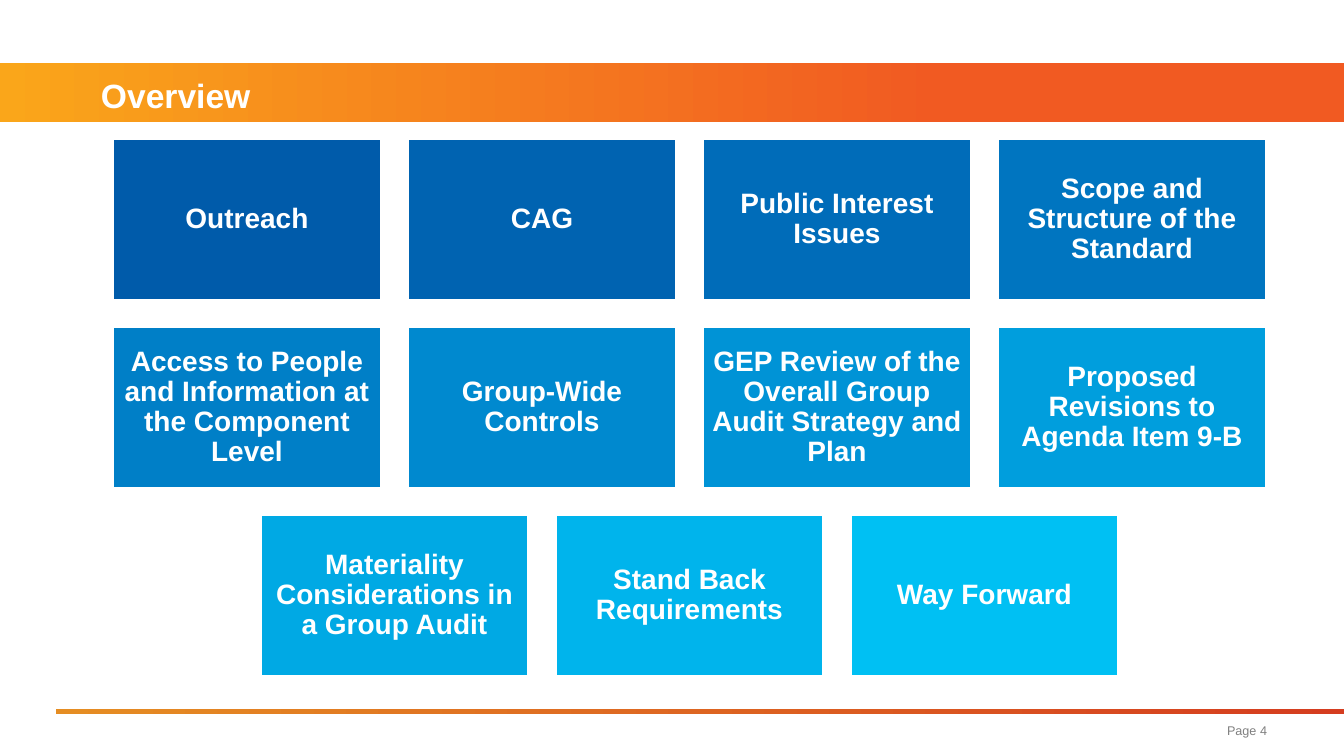
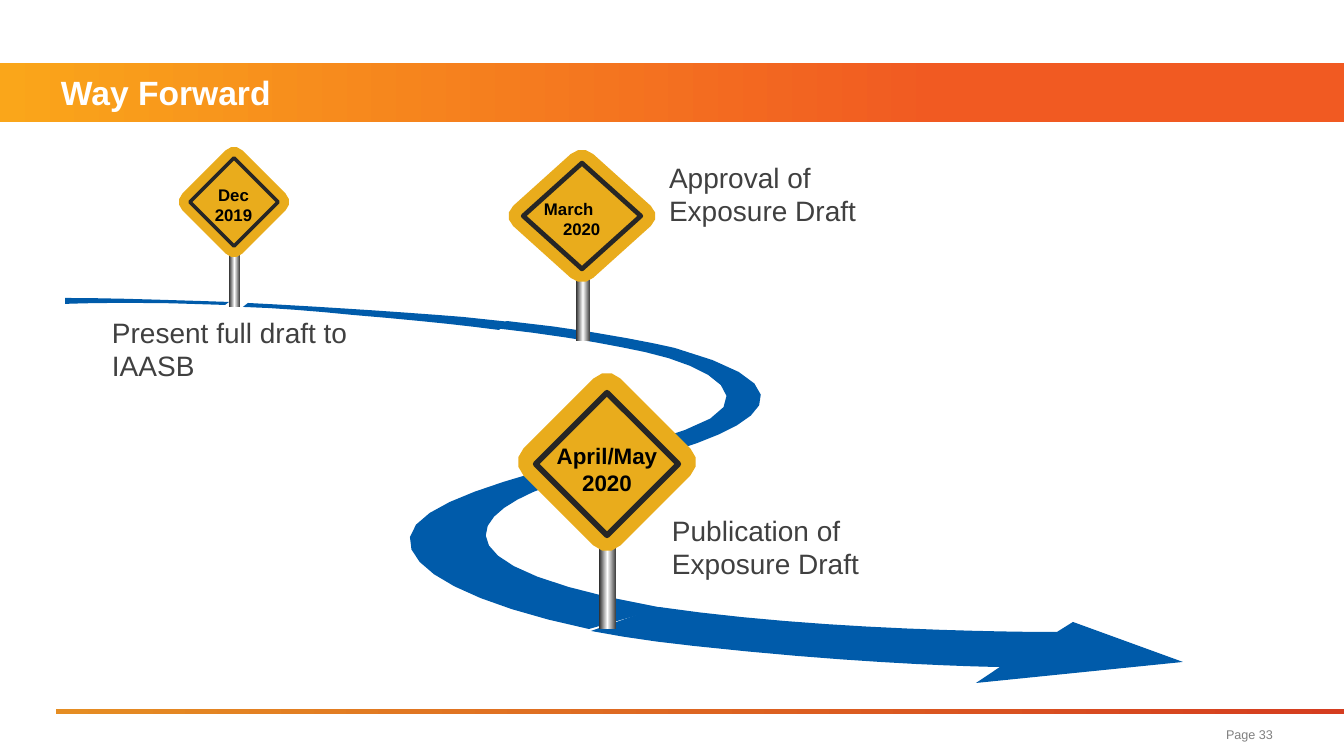
import itertools
import math

import lxml.etree
import pptx
import pptx.dml.color
import pptx.enum.shapes
import pptx.enum.text
import pptx.oxml.ns
import pptx.util

RGB = pptx.dml.color.RGBColor
ALIGN = pptx.enum.text.PP_ALIGN
ANCHOR = pptx.enum.text.MSO_ANCHOR
PRESET = pptx.enum.shapes.MSO_SHAPE

EMU_PER_PX = 914400 / 100.8
SLIDE_WIDTH, SLIDE_HEIGHT = 1344, 756
FONT = "Arial"

WHITE = RGB(0xFF, 0xFF, 0xFF)
BLACK = RGB(0x00, 0x00, 0x00)
BODY_GREY = RGB(0x40, 0x40, 0x40)
PAGE_GREY = RGB(0x80, 0x80, 0x80)
ROAD_BLUE = RGB(0x00, 0x5B, 0xAA)
SIGN_YELLOW = RGB(0xE9, 0xAC, 0x1C)
SIGN_DARK = RGB(0x26, 0x26, 0x26)

BAND_STOPS = [(0, RGB(0xFA, 0xA6, 0x1A)), (70, RGB(0xF1, 0x5A, 0x22))]
RULE_STOPS = [(0, RGB(0xE5, 0x8D, 0x23)), (100, RGB(0xD5, 0x3D, 0x20))]
POST_STOPS = [(0, SIGN_DARK), (50, WHITE), (100, BODY_GREY)]

COLUMNS = 4
TILE_LEFT, TILE_TOP = 113, 139
TILE_WIDTH, TILE_HEIGHT = 268, 161
TILE_STEP_X, TILE_STEP_Y = 295, 188
TILES = [
    ("Outreach", RGB(0x00, 0x5B, 0xAA)),
    ("CAG", RGB(0x00, 0x63, 0xB1)),
    ("Public Interest Issues", RGB(0x00, 0x6C, 0xB9)),
    ("Scope and Structure of the Standard", RGB(0x00, 0x75, 0xC0)),
    ("Access to People and Information at the Component Level", RGB(0x00, 0x7F, 0xC7)),
    ("Group-Wide Controls", RGB(0x00, 0x89, 0xCF)),
    ("GEP Review of the Overall Group Audit Strategy and Plan", RGB(0x00, 0x93, 0xD6)),
    ("Proposed Revisions to Agenda Item 9-B", RGB(0x00, 0x9E, 0xDD)),
    ("Materiality Considerations in a Group Audit", RGB(0x00, 0xA9, 0xE4)),
    ("Stand Back Requirements", RGB(0x00, 0xB4, 0xEC)),
    ("Way Forward", RGB(0x00, 0xC0, 0xF3)),
]

# Each outline is a start point, then lines (x, y) or cubic curves (two controls, end).
ROAD_BEND = [
    (608, 597), (400, 550, 503, 495, 585, 475), (665, 455, 880, 405, 675, 348),
    (675, 348, 604, 331, 507, 321), (494, 328), (565, 336, 607, 344, 645, 352),
    (709, 366, 770, 400, 685, 430), (602, 460, 417, 490, 410, 537),
    (405, 570, 474, 605, 589, 629), (663, 608),
]
ROAD_START = [
    (65, 298), (65, 304), (65, 304, 128, 301, 225, 305), (229, 302),
    (167, 300, 109, 298, 65, 298),
]
ROAD_MIDDLE = [
    (463, 317), (401, 312, 325, 307, 248, 303), (243, 307),
    (277, 308, 313, 311, 353, 315), (413, 320, 461, 325, 499, 330), (510, 322),
]
ROAD_ARROW = [
    (1183, 662), (1073, 622), (1057, 632), (1057, 632, 835, 633, 659, 607),
    (591, 631), (622, 637, 656, 642, 694, 646), (877, 666, 1000, 667, 1000, 667),
    (976, 683),
]


def px(length):
    return pptx.util.Emu(round(length * EMU_PER_PX))


def write_text(shape, text, *, size, color, bold=False, align=ALIGN.LEFT,
               anchor=ANCHOR.MIDDLE, insets=(0, 0), line_spacing=None, indents=None):
    """Fill a shape with one paragraph per line; indents gives each its left margin."""
    frame = shape.text_frame
    frame.word_wrap = True
    frame.vertical_anchor = anchor
    frame.margin_left = frame.margin_right = px(insets[0])
    frame.margin_top = frame.margin_bottom = px(insets[1])
    for index, line in enumerate(text.split("\n")):
        paragraph = frame.paragraphs[0] if index == 0 else frame.add_paragraph()
        if indents:
            paragraph._p.get_or_add_pPr().set("marL", str(px(indents[index])))
        paragraph.alignment = align
        if line_spacing:
            paragraph.line_spacing = line_spacing
        run = paragraph.add_run()
        run.text = line
        run.font.name = FONT
        run.font.size = pptx.util.Pt(size)
        run.font.bold = bold
        run.font.color.rgb = color


def add_text(slide, box, text, **text_format):
    write_text(slide.shapes.add_textbox(*map(px, box)), text, **text_format)


def add_preset(slide, preset, box):
    shape = slide.shapes.add_shape(preset, *map(px, box))
    shape.shadow.inherit = False
    shape.line.fill.background()
    return shape


def set_line(shape, color, points):
    shape.line.color.rgb = color
    shape.line.width = pptx.util.Pt(points)


def add_gradient_rectangle(slide, box, stops):
    shape = add_preset(slide, PRESET.RECTANGLE, box)
    shape.fill.gradient()
    shape.fill.gradient_angle = 0
    qn = pptx.oxml.ns.qn
    stop_list = shape._element.spPr.find(qn("a:gradFill")).find(qn("a:gsLst"))
    for old_stop in list(stop_list):
        stop_list.remove(old_stop)
    for percent, color in stops:
        stop = lxml.etree.SubElement(stop_list, qn("a:gs"), pos=str(percent * 1000))
        lxml.etree.SubElement(stop, qn("a:srgbClr"), val=str(color))


def flatten(outline):
    """Turn an outline of lines and cubic curves into points, more on longer curves."""
    points = [outline[0]]
    for segment in outline[1:]:
        if len(segment) == 2:
            points.append(segment)
            continue
        controls = [points[-1], segment[:2], segment[2:4], segment[4:]]
        length = sum(math.dist(a, b) for a, b in itertools.pairwise(controls))
        steps = min(14, max(3, round(length / 30)))
        for step in range(1, steps + 1):
            t = step / steps
            weights = [math.comb(3, k) * t ** k * (1 - t) ** (3 - k) for k in range(4)]
            points.append(tuple(sum(weight * control[axis]
                                    for weight, control in zip(weights, controls))
                                for axis in (0, 1)))
    return points


def add_outline(slide, color, outline):
    points = [(px(x), px(y)) for x, y in flatten(outline)]
    builder = slide.shapes.build_freeform(*points[0], scale=1.0)
    builder.add_line_segments(points[1:], close=True)
    shape = builder.convert_to_shape()
    shape.shadow.inherit = False
    shape.fill.solid()
    shape.fill.fore_color.rgb = color
    shape.line.fill.background()


def rounded_diamond(center, reach, rounding=0.14):
    """Outline whose unrounded tips lie at reach; rounding is a share of each side."""
    def along(tip, other, share):
        return tuple(center[axis] + reach[axis] * (tip[axis] * (1 - share) + other[axis] * share)
                     for axis in (0, 1))

    tips = [(1, 0), (0, 1), (-1, 0), (0, -1)]
    outline = []
    for index, tip in enumerate(tips):
        before, after = tips[index - 1], tips[(index + 1) % 4]
        outline.append(along(tip, before, rounding))
        outline.append(along(tip, before, rounding * 0.43)
                       + along(tip, after, rounding * 0.43)
                       + along(tip, after, rounding))
    return outline


def add_road_sign(slide, post, center, reach, label_box, label, frame_drop=0, **label_format):
    add_gradient_rectangle(slide, post, POST_STOPS)
    add_outline(slide, SIGN_YELLOW, rounded_diamond(center, reach))
    half_width, half_height = [length * 0.735 for length in reach]
    frame = add_preset(slide, PRESET.DIAMOND,
                       (center[0] - half_width, center[1] + frame_drop - half_height,
                        2 * half_width, 2 * half_height))
    frame.fill.background()
    set_line(frame, SIGN_DARK, reach[0] / 24)
    add_text(slide, label_box, label, color=BLACK, bold=True, insets=(10, 5), **label_format)


def add_milestone(slide, box, text):
    add_text(slide, box, text, size=20, color=BODY_GREY, anchor=ANCHOR.TOP, insets=(10, 5))


def add_base_slide(presentation, title, title_at, page, page_right, page_top):
    slide = presentation.slides.add_slide(presentation.slide_layouts[6])
    add_gradient_rectangle(slide, (0, 63, SLIDE_WIDTH, 59), BAND_STOPS)
    add_gradient_rectangle(slide, (56, 709, SLIDE_WIDTH - 56, 5), RULE_STOPS)
    add_text(slide, (*title_at, 1200, 59), title, size=24, color=WHITE, bold=True,
             line_spacing=pptx.util.Pt(32))
    add_text(slide, (page_right - 200, page_top, 200, 33), page, size=9, color=PAGE_GREY,
             align=ALIGN.RIGHT)
    return slide


def add_tiles(slide):
    for index, (text, color) in enumerate(TILES):
        row, column = divmod(index, COLUMNS)
        in_row = min(COLUMNS, len(TILES) - row * COLUMNS)
        left = TILE_LEFT + (column + (COLUMNS - in_row) / 2) * TILE_STEP_X
        top = TILE_TOP + row * TILE_STEP_Y
        tile = add_preset(slide, PRESET.RECTANGLE, (left, top, TILE_WIDTH, TILE_HEIGHT))
        tile.fill.solid()
        tile.fill.fore_color.rgb = color
        set_line(tile, WHITE, 2)
        write_text(tile, text, size=20, color=WHITE, bold=True, align=ALIGN.CENTER,
                   insets=(8, 8), line_spacing=0.9)


def add_roadmap(slide):
    for outline in (ROAD_BEND, ROAD_START, ROAD_MIDDLE, ROAD_ARROW):
        add_outline(slide, ROAD_BLUE, outline)
    add_road_sign(slide, (229, 254, 11, 53), (234, 202), (60, 60),
                  (184, 180, 99, 50), "Dec\n2019", size=12, align=ALIGN.CENTER)
    add_road_sign(slide, (576, 278, 14, 63), (582, 216), (80, 72),
                  (517, 194, 131, 50), "March\n2020", size=12, indents=(17, 36))
    add_road_sign(slide, (599, 543, 17, 86), (607, 462), (97, 97),
                  (528, 437, 158, 65), "April/May\n2020", frame_drop=2, size=16,
                  align=ALIGN.CENTER)
    add_milestone(slide, (102, 310, 282, 78), "Present full draft to IAASB")
    add_milestone(slide, (659, 155, 251, 78), "Approval of Exposure Draft")
    add_milestone(slide, (662, 508, 226, 78), "Publication of Exposure Draft")


def main():
    presentation = pptx.Presentation()
    presentation.slide_width = px(SLIDE_WIDTH)
    presentation.slide_height = px(SLIDE_HEIGHT)
    add_tiles(add_base_slide(presentation, "Overview", (101, 63), "Page 4", 1267, 714))
    add_roadmap(add_base_slide(presentation, "Way Forward", (61, 60), "Page 33", 1273, 718))
    presentation.save("out.pptx")


if __name__ == "__main__":
    main()
